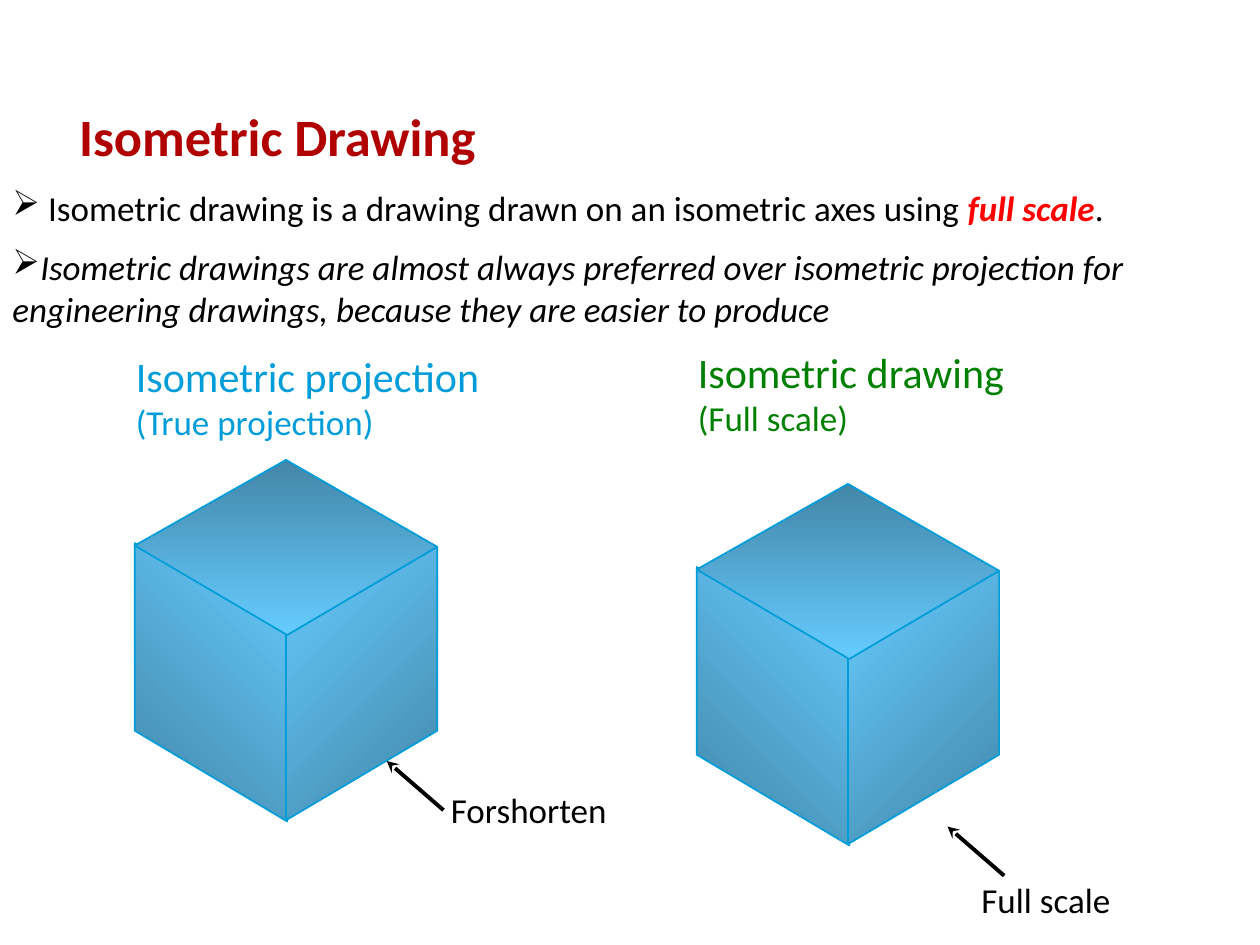
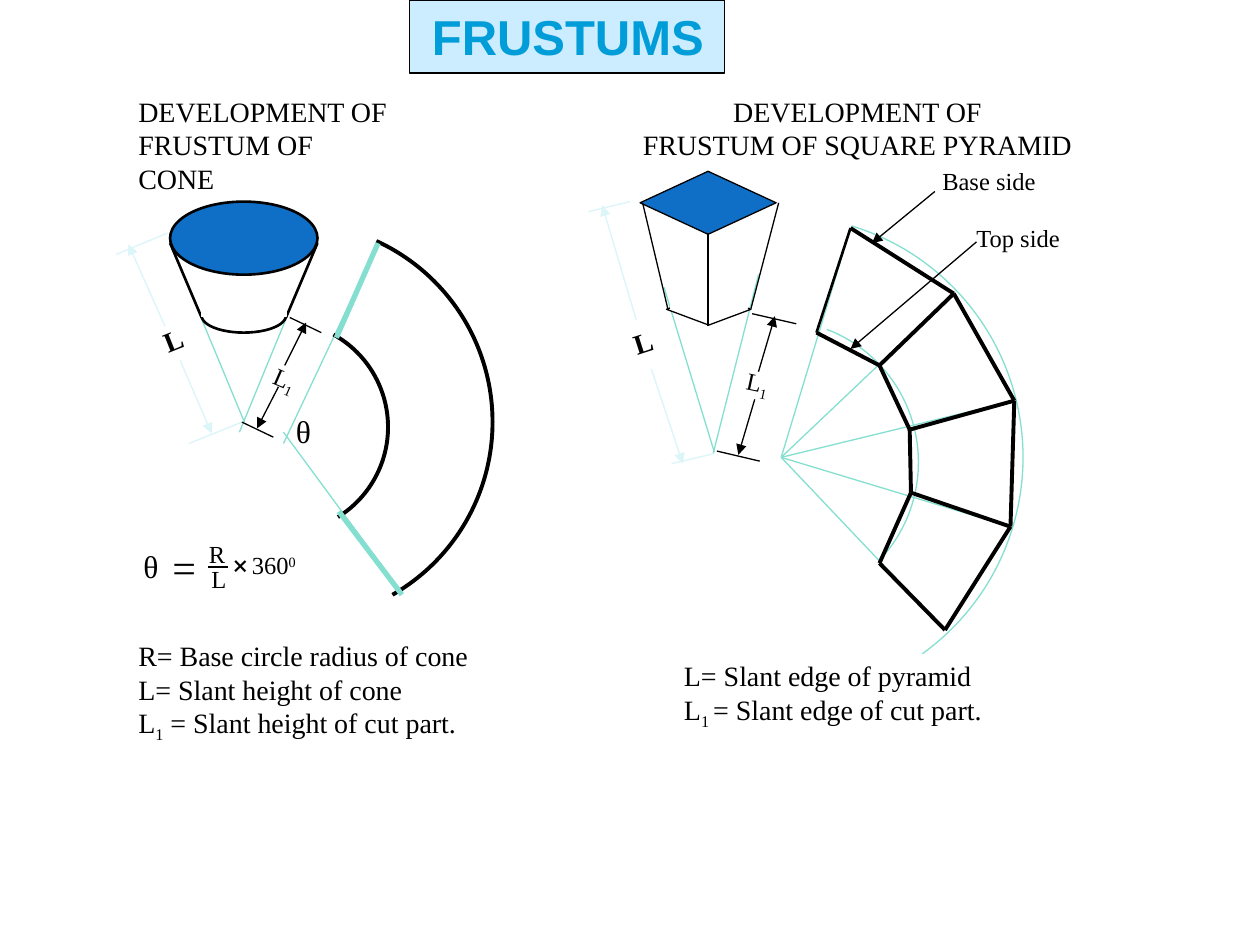
from dataclasses import dataclass
from itertools import pairwise
from typing import NamedTuple

from lxml import etree
from pptx import Presentation
from pptx import util as u
from pptx.dml.color import RGBColor
from pptx.enum import shapes, text
from pptx.oxml.ns import qn

WIDTH, HEIGHT = u.Inches(10), u.Inches(7.5)
COLUMNS, ROWS = 100, 75  # square grid cells; all lengths below are in cells

BLACK = RGBColor(0, 0, 0)
WHITE = RGBColor(255, 255, 255)
DARK_RED = RGBColor(0xB0, 0, 0)
RED = RGBColor(255, 0, 0)
GREEN = RGBColor(0, 0x80, 0)
CYAN = RGBColor(0, 0x9D, 0xD9)
CUBE_DARK = RGBColor(0x43, 0x86, 0xA8)
CUBE_LIGHT = RGBColor(0x66, 0xCC, 0xFF)
MINT = RGBColor(0x85, 0xDF, 0xD0)
PALE = RGBColor(0xDB, 0xF5, 0xF9)
BLUE = RGBColor(0x0F, 0x6F, 0xC6)
BANNER = RGBColor(0xCC, 0xEC, 0xFF)

SANS, SERIF = "Calibri", "Times New Roman"
THIN, MEDIUM, THICK, HEAVY = 0.75, 1.5, 2.25, 3


class Point(NamedTuple):
    x: float
    y: float


class Box(NamedTuple):
    left: float
    top: float
    width: float
    height: float


class Run(NamedTuple):
    text: str
    color: RGBColor | None = None
    emphasis: bool = False
    baseline: int = 0


@dataclass(frozen=True)
class Paragraph:
    runs: tuple[Run, ...]
    size: float
    font: str = SERIF
    color: RGBColor = BLACK
    bold: bool = False
    italic: bool = False
    bullet: str = ""
    spacing: float | None = None
    align: text.PP_ALIGN = text.PP_ALIGN.LEFT


@dataclass(frozen=True)
class Line:
    start: tuple[float, float]
    end: tuple[float, float]
    color: RGBColor = BLACK
    weight: float = THIN
    arrow: str = ""


@dataclass(frozen=True)
class Figure:
    kind: shapes.MSO_SHAPE
    box: Box
    fill: RGBColor
    outline: RGBColor = BLACK
    weight: float = THIN


@dataclass(frozen=True)
class Arc:
    center: Point
    radius: float
    start: float
    end: float
    color: RGBColor
    weight: float


class Face(NamedTuple):
    corners: tuple[tuple[float, float], ...]
    first: RGBColor
    last: RGBColor
    angle: float


@dataclass(frozen=True)
class Dimension:
    """A measured length: two extension lines, two arrows and a tilted label."""
    ticks: tuple
    arrows: tuple
    box: Box
    tilt: float
    label: Paragraph
    color: RGBColor = BLACK


def across(columns: float) -> int:
    return round(columns * WIDTH / COLUMNS)


def down(rows: float) -> int:
    return round(rows * HEIGHT / ROWS)


def place(box: Box) -> tuple[int, int, int, int]:
    return across(box.left), down(box.top), across(box.width), down(box.height)


def para(wording: str, size: float, **style) -> Paragraph:
    return Paragraph((Run(wording),), size, **style)


def draw_text(slide, box: Box, *paragraphs: Paragraph, wrap: bool = False, tilt: float = 0) -> None:
    area = slide.shapes.add_textbox(*place(box))
    area.rotation = tilt
    frame = area.text_frame
    frame.word_wrap = wrap
    frame.auto_size = text.MSO_AUTO_SIZE.SHAPE_TO_FIT_TEXT
    for index, item in enumerate(paragraphs):
        paragraph = frame.add_paragraph() if index else frame.paragraphs[0]
        paragraph.alignment = item.align
        if item.spacing:
            paragraph.line_spacing = item.spacing
        if item.bullet:
            properties = paragraph._p.get_or_add_pPr()
            etree.SubElement(properties, qn("a:buChar")).set("char", item.bullet)
        font = paragraph.font
        font.name, font.size = item.font, u.Pt(item.size)
        font.bold, font.italic = item.bold, item.italic
        font.color.rgb = item.color
        for part in item.runs:
            run = paragraph.add_run()
            run.text = part.text
            if part.color:
                run.font.color.rgb = part.color
            if part.emphasis:
                run.font.bold = run.font.italic = True
            if part.baseline:
                run._r.get_or_add_rPr().set("baseline", str(part.baseline * 1000))


def draw_lines(slide, *lines: Line) -> None:
    for line in lines:
        (x1, y1), (x2, y2) = line.start, line.end
        connector = slide.shapes.add_connector(
            shapes.MSO_CONNECTOR.STRAIGHT, across(x1), down(y1), across(x2), down(y2))
        connector.line.color.rgb = line.color
        connector.line.width = u.Pt(line.weight)
        properties = connector._element.spPr
        if line.arrow:
            etree.SubElement(properties.find(qn("a:ln")), qn("a:tailEnd")).set("type", line.arrow)
        etree.SubElement(properties, qn("a:effectLst"))


def outline(shape, color: RGBColor, weight: float) -> None:
    shape.shadow.inherit = False
    shape.line.color.rgb = color
    shape.line.width = u.Pt(weight)


def draw_figures(slide, *figures: Figure) -> None:
    for figure in figures:
        shape = slide.shapes.add_shape(figure.kind, *place(figure.box))
        shape.fill.solid()
        shape.fill.fore_color.rgb = figure.fill
        outline(shape, figure.outline, figure.weight)


def draw_arc(slide, arc: Arc) -> None:
    """Draw a circular arc clockwise between two angles in degrees, 0 pointing right."""
    (x, y), r = arc.center, arc.radius
    shape = slide.shapes.add_shape(shapes.MSO_SHAPE.ARC, *place(Box(x - r, y - r, 2 * r, 2 * r)))
    for index, angle in enumerate((arc.start, arc.end)):
        shape.adjustments[index] = angle % 360 * 0.6
    shape.fill.background()
    outline(shape, arc.color, arc.weight)


def draw_cube(slide, corner: Point) -> None:
    for face in CUBE_FACES:
        points = [(across(corner.x + x), down(corner.y + y)) for x, y in face.corners]
        builder = slide.shapes.build_freeform(*points[0])
        builder.add_line_segments(points[1:], close=True)
        shape = builder.convert_to_shape()
        shape.fill.gradient()
        shape.fill.gradient_angle = face.angle
        for stop, color in zip(shape.fill.gradient_stops, (face.first, face.last)):
            stop.color.rgb = color
        outline(shape, CYAN, 1)


def draw_dimension(slide, dimension: Dimension) -> None:
    draw_lines(slide,
               *(Line(*ends, dimension.color) for ends in dimension.ticks),
               *(Line(*ends, dimension.color, arrow="triangle") for ends in dimension.arrows))
    draw_text(slide, dimension.box, dimension.label, tilt=dimension.tilt)


CUBE_FACES = (
    Face(((0, 6.6), (0, 21.5), (12.1, 28.7), (12.1, 13.8)), CUBE_DARK, CUBE_LIGHT, 45),
    Face(((24, 21.5), (12, 28.6), (12, 13.9), (24, 6.9)), CUBE_LIGHT, CUBE_DARK, 315),
    Face(((12.1, 13.9), (0, 6.8), (12, 0), (24, 6.9)), CUBE_DARK, CUBE_LIGHT, 270),
)

SLANT = para("L", 16, bold=True)
CUT_SLANT = Paragraph((Run("L"), Run("1", baseline=-25)), 14)
DIMENSIONS = (
    Dimension((((13.3, 18.5), (9.2, 20.2)), ((19.2, 33.5), (15, 35.2))),
              (((13.1, 25.9), (10.2, 19.4)), ((14.3, 28.6), (16.8, 34.4))),
              Box(12, 25.1, 3.5, 3.7), 338.1, SLANT, PALE),
    Dimension((((56.7, 36), (53.3, 36.8)), ((50, 16), (46.7, 16.8))),
              (((51.7, 29.3), (54.2, 36.8)), ((50.5, 25.4), (47.8, 16.3))),
              Box(49.3, 25.3, 3.5, 3.7), 342.1, SLANT, PALE),
    Dimension((((23, 25.2), (25.5, 26.4)), ((19.2, 33.5), (21.7, 34.7))),
              (((22.6, 29), (24.3, 25.6)), ((22.1, 30.7), (20.4, 34))),
              Box(20.8, 28.4, 3.8, 3.3), 23.5, CUT_SLANT),
    Dimension((((59.7, 24.9), (63.2, 25.7)), ((56.9, 35.8), (60.3, 36.6))),
              (((60.2, 29.5), (61.5, 25.1)), ((59.9, 31.7), (58.6, 36.1))),
              Box(58.3, 28.7, 3.8, 3.3), 12.1, CUT_SLANT),
)

FAN_APEX = Point(62, 36.3)
BASE_CORNERS = ((67.5, 18.1), (75.7, 23.3), (80.5, 31.8), (80.2, 41.8), (75, 50))
TOP_CORNERS = ((64.8, 26.4), (69.8, 29), (72.2, 34.1), (72.3, 39.1), (69.8, 44.7))


def isometric_slide(slide) -> None:
    draw_text(slide, Box(5.3, 7.8, 70.7, 6.1),
              para("Isometric Drawing", 30, font=SANS, color=DARK_RED, bold=True), wrap=True)
    for corner, title_top, title, note, color in (
            (Point(10.7, 36.5), 27.3, "Isometric projection", "(True projection)", CYAN),
            (Point(55.3, 38.4), 27, "Isometric drawing", "(Full scale)", GREEN)):
        draw_cube(slide, corner)
        draw_text(slide, Box(corner.x - 0.9, title_top, 30, 8.4),
                  para(title, 24, font=SANS, color=color),
                  para(note, 20, font=SANS, color=color), wrap=True)
    for tip, box, remark in (
            (Point(30.7, 60.4), Box(34.8, 62.1, 15.6, 4.4), "Forshorten"),
            (Point(75.2, 65.6), Box(76.9, 69.2, 13.9, 4.4), "Full scale")):
        draw_lines(slide, Line((tip.x + 4.5, tip.y + 3.9), tip, weight=THICK, arrow="stealth"))
        draw_text(slide, box, para(remark, 20, font=SANS))
    definition = (Run(" Isometric drawing is a drawing drawn on an isometric axes using "),
                  Run("full scale", RED, True), Run("."))
    draw_text(slide, Box(0, 13.3, 100, 5.4),
              Paragraph(definition, 20, SANS, bullet="➢", spacing=1.3), wrap=True)
    draw_text(slide, Box(0, 19, 96.1, 7.7),
              para("Isometric drawings are almost always preferred over isometric projection for "
                   "engineering drawings, because they are easier to produce",
                   20, font=SANS, italic=True, bullet="➢"), wrap=True)


def draw_cone_development(slide) -> None:
    draw_lines(slide, Line((30, 19.3), (22.5, 35.2), MINT), Line((22.5, 34.3), (31.7, 46.8), MINT))
    draw_arc(slide, Arc(Point(23.3, 33.5), 15.8, -65.4, 60.2, BLACK, THICK))
    draw_arc(slide, Arc(Point(22.4, 33.9), 8.4, -61, 58.2, BLACK, THICK))
    draw_lines(slide,
               Line((30, 19.3), (26.7, 26.8), MINT, HEAVY),
               Line((26.9, 40.6), (31.9, 47.2), MINT, HEAVY),
               Line((13.5, 19.3), (19.4, 33.5), MINT),
               Line((24.8, 20.2), (19, 34.3), MINT))


def draw_pyramid_development(slide) -> None:
    draw_arc(slide, Arc(FAN_APEX, 19.2, -73, 54.3, MINT, THIN))
    draw_arc(slide, Arc(Point(61.6, 36.7), 11.3, -69.1, 43.9, MINT, THIN))
    draw_lines(slide, *(Line(FAN_APEX, corner, MINT) for corner in BASE_CORNERS))
    for corners in (BASE_CORNERS, TOP_CORNERS):
        draw_lines(slide, *(Line(*ends, weight=THICK) for ends in pairwise(corners)))
    for index, ends in enumerate(zip(BASE_CORNERS, TOP_CORNERS)):
        draw_lines(slide, Line(*ends, weight=THICK if index else MEDIUM))
    draw_lines(slide,
               Line((52.7, 22.8), (56.7, 35.9), MINT), Line((60.2, 21.8), (56.6, 36), MINT),
               Line((74.2, 15.2), (69.2, 19.3), arrow="triangle"),
               Line((77.5, 19.2), (67.5, 27.7), arrow="triangle"))
    draw_text(slide, Box(73.8, 12.7, 9.9, 3.3), para("Base side", 14))
    draw_text(slide, Box(76.5, 17.2, 8.8, 3.3), para("Top side", 14))


def draw_angle_formula(slide) -> None:
    for box, term in ((Box(22.5, 32.2, 3.3, 4), para("θ", 18)),
                      (Box(10.4, 42.9, 3.3, 4), para("θ", 18)),
                      (Box(12.7, 42.5, 3.9, 5), para("=", 24)),
                      (Box(15.6, 42.3, 3.3, 3.3), para("R", 14)),
                      (Box(15.8, 44.3, 3.2, 3.3), para("L", 14)),
                      (Box(19, 43.2, 5.6, 3.3), Paragraph((Run("360"), Run("0", baseline=30)), 14))):
        draw_text(slide, box, term)
    draw_text(slide, Box(17.5, 42.9, 3.4, 4), para("+", 18, bold=True), tilt=45.8)
    draw_lines(slide, Line((16.5, 45), (18.1, 45), weight=MEDIUM))


def draw_solids(slide) -> None:
    kind = shapes.MSO_SHAPE
    draw_figures(slide, Figure(kind.OVAL, Box(13.5, 16, 11.7, 5.8), BLUE, weight=MEDIUM),
                 Figure(kind.OVAL, Box(16, 23.7, 6.7, 2.7), WHITE, weight=MEDIUM))
    draw_lines(slide, Line((16, 25.2), (13.5, 19.3), weight=MEDIUM),
               Line((22.7, 25.2), (25.2, 19.3), weight=MEDIUM))
    draw_figures(slide, Figure(kind.RECTANGLE, Box(16, 23.4, 6.7, 1.7), WHITE, WHITE),
                 Figure(kind.DIAMOND, Box(50.8, 13.6, 10.8, 5), BLUE),
                 Figure(kind.DIAMOND, Box(52.9, 23.3, 6.7, 2.5), WHITE))
    draw_lines(slide, Line((53, 24.5), (51, 16.1)), Line((59.6, 24.5), (61.8, 16.1)))
    draw_figures(slide, Figure(kind.RECTANGLE, Box(53.2, 22.8, 6.1, 1.7), WHITE, WHITE))
    draw_lines(slide, Line((56.2, 25.9), (56.2, 18.5)))


def frustums_slide(slide) -> None:
    draw_cone_development(slide)
    draw_pyramid_development(slide)
    for dimension in DIMENSIONS:
        draw_dimension(slide, dimension)
    draw_angle_formula(slide)
    draw_text(slide, Box(10, 50.2, 28.3, 9), para("R= Base circle radius of cone", 16),
              para("L= Slant height of cone", 16),
              Paragraph((Run("L"), Run("1", baseline=-25), Run(" = Slant height of cut part.")), 16))
    draw_text(slide, Box(53.3, 51.8, 25.9, 6.4), para("L= Slant edge of pyramid", 16),
              Paragraph((Run("L"), Run("1 ", baseline=-25), Run("= Slant edge of cut part.")), 16))
    for box, solid, align in ((Box(10, 7, 22.4, 6.4), "CONE", text.PP_ALIGN.LEFT),
                              (Box(50, 7, 36.1, 6.4), "SQUARE PYRAMID", text.PP_ALIGN.CENTER)):
        draw_text(slide, box, para("DEVELOPMENT OF", 16, align=align),
                  para(f"FRUSTUM OF {solid}", 16, align=align))
    draw_solids(slide)
    draw_figures(slide, Figure(shapes.MSO_SHAPE.RECTANGLE, Box(32.5, 0, 25, 5.8), BANNER))
    draw_text(slide, Box(33.3, 0, 23.6, 5.7),
              para("FRUSTUMS", 28, font="Arial", color=CYAN, bold=True))


def main() -> None:
    deck = Presentation()
    deck.slide_width, deck.slide_height = WIDTH, HEIGHT
    for compose in (isometric_slide, frustums_slide):
        compose(deck.slides.add_slide(deck.slide_layouts[6]))
    deck.save("out.pptx")


if __name__ == "__main__":
    main()
